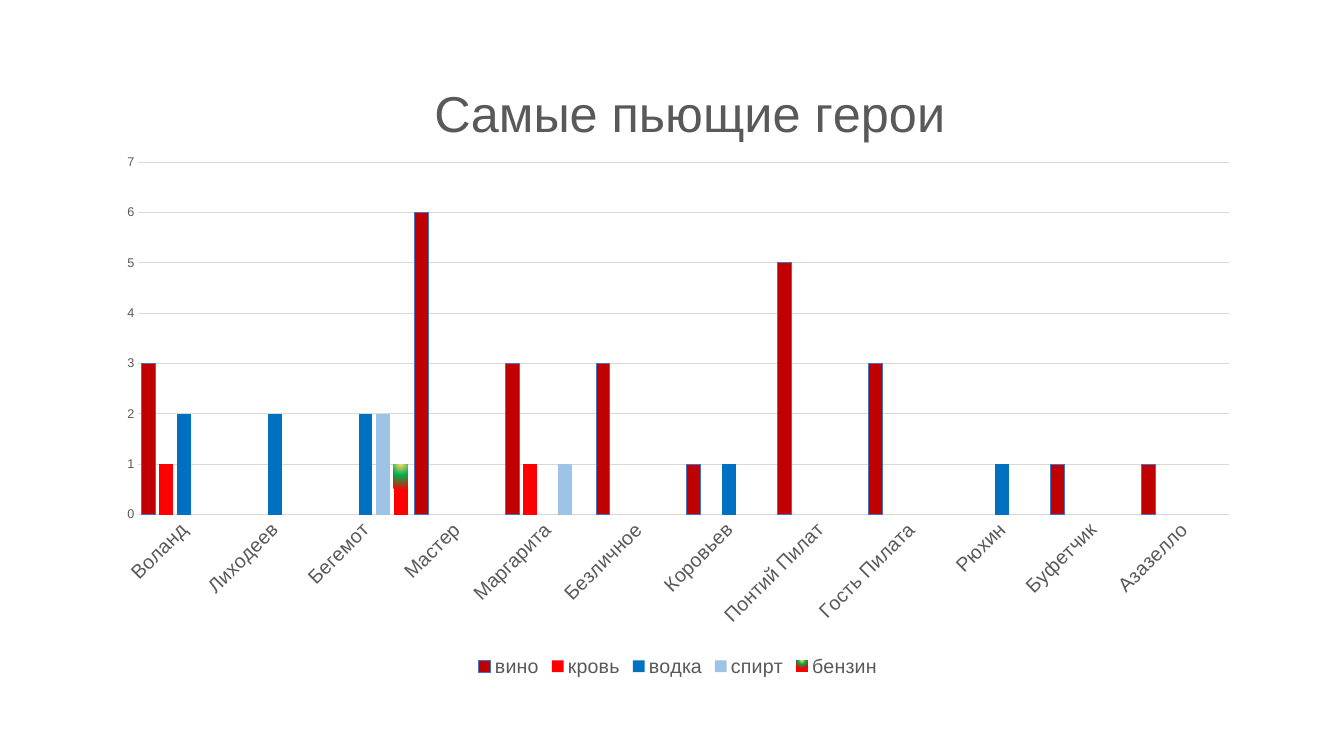
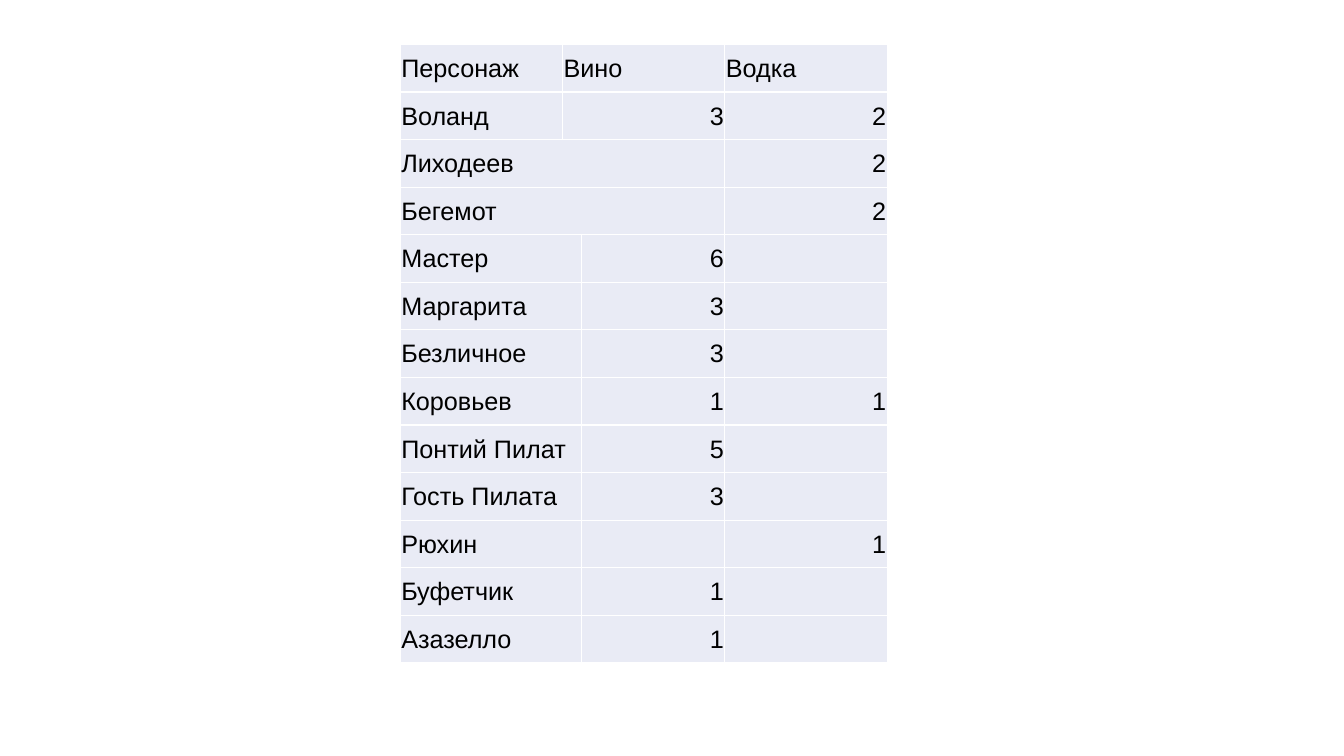
from lxml import etree
from pptx import Presentation
from pptx.chart.data import CategoryChartData
from pptx.dml.color import RGBColor
from pptx.enum.chart import XL_CHART_TYPE, XL_LEGEND_POSITION, XL_TICK_MARK
from pptx.enum.text import MSO_ANCHOR, PP_ALIGN
from pptx.oxml import parse_xml
from pptx.oxml.ns import nsdecls, qn
from pptx.util import Inches, Pt

FONT = "Arial"
COLORS = {
    "text": "000000",
    "muted": "595959",
    "grid": "D9D9D9",
    "cell": "E9EBF5",
    "border": "FFFFFF",
    "wine": "C00000",
    "wine_outline": "4472C4",
    "blood": "FF0000",
    "vodka": "0070C0",
    "spirit": "9DC3E6",
    "yellow": "FFD966",
    "green": "00B050",
}
CHARACTERS = [
    "Воланд", "Лиходеев", "Бегемот", "Мастер", "Маргарита", "Безличное",
    "Коровьев", "Понтий Пилат", "Гость Пилата", "Рюхин", "Буфетчик", "Азазелло",
]
WINE = [3, None, None, 6, 3, 3, 1, 5, 3, None, 1, 1]
VODKA = [2, 2, 2, None, None, None, 1, None, None, 1, None, None]


def sparse(values):
    return [values.get(name) for name in CHARACTERS]


DRINKS = [
    ("вино", WINE, "wine"),
    ("кровь", sparse({"Воланд": 1, "Маргарита": 1}), "blood"),
    ("водка", VODKA, "vodka"),
    ("спирт", sparse({"Бегемот": 2, "Маргарита": 1}), "spirit"),
    ("бензин", sparse({"Бегемот": 1}), None),
]
PETROL_STOPS = [(0, "yellow"), (42, "green"), (100, "blood")]


def color(name):
    return RGBColor.from_string(COLORS[name])


def style_font(font, size, color_name):
    font.name = FONT
    font.size = Pt(size)
    font.bold = False
    font.color.rgb = color(color_name)


def write_text(text_frame, text, size=18, color_name="text", align=PP_ALIGN.LEFT):
    paragraph = text_frame.paragraphs[0]
    paragraph.alignment = align
    run = paragraph.add_run()
    run.text = text
    style_font(run.font, size, color_name)


def style_line(line, color_name, width):
    line.color.rgb = color(color_name)
    line.width = Pt(width)


def place_chart_part(element, position, **places):
    for old_layout in element.findall(qn("c:layout")):
        element.remove(old_layout)
    target = '<c:layoutTarget val="inner"/>' if "w" in places else ""
    modes = "".join(f'<c:{axis}Mode val="edge"/>' for axis in "xy")
    values = "".join(f'<c:{key} val="{value}"/>' for key, value in places.items())
    element.insert(position, parse_xml(
        f'<c:layout {nsdecls("c")}><c:manualLayout>{target}{modes}{values}'
        "</c:manualLayout></c:layout>"
    ))


def fill_radial(series, stops):
    properties = series.format.fill
    properties.background()
    shape_properties = series._element.find(qn("c:spPr"))
    stop_xml = "".join(
        f'<a:gs pos="{percent * 1000}"><a:srgbClr val="{COLORS[name]}"/></a:gs>'
        for percent, name in stops
    )
    gradient = parse_xml(
        f'<a:gradFill {nsdecls("a")}><a:gsLst>{stop_xml}</a:gsLst>'
        '<a:path path="circle"><a:fillToRect l="50000" t="-80000" r="50000" b="180000"/>'
        "</a:path></a:gradFill>"
    )
    shape_properties.replace(shape_properties.find(qn("a:noFill")), gradient)


def style_axes(chart):
    category_axis, value_axis = chart.category_axis, chart.value_axis
    for axis, size in ((category_axis, 14), (value_axis, 9)):
        axis.major_tick_mark = axis.minor_tick_mark = XL_TICK_MARK.NONE
        style_font(axis.tick_labels.font, size, "muted")
    style_line(category_axis.format.line, "grid", 0.75)
    label_body = category_axis._element.find(qn("c:txPr")).find(qn("a:bodyPr"))
    label_body.set("rot", "-2700000")
    value_axis.format.line.fill.background()
    style_line(value_axis.major_gridlines.format.line, "grid", 0.75)
    value_axis.minimum_scale, value_axis.maximum_scale = 0, 7
    value_axis.major_unit = 1


def style_series(plot):
    plot.gap_width, plot.overlap = 46, -27
    plot.vary_by_categories = False
    for series, (_, _, color_name) in zip(plot.series, DRINKS):
        series.invert_if_negative = False
        if color_name:
            series.format.fill.solid()
            series.format.fill.fore_color.rgb = color(color_name)
        else:
            fill_radial(series, PETROL_STOPS)
    style_line(plot.series[0].format.line, "wine_outline", 0)


def add_drinks_chart(slide):
    data = CategoryChartData()
    data.categories = CHARACTERS
    for name, values, _ in DRINKS:
        data.add_series(name, values)
    chart = slide.shapes.add_chart(
        XL_CHART_TYPE.COLUMN_CLUSTERED,
        Inches(1.03), Inches(0.4), Inches(11.39), Inches(6.36), data,
    ).chart
    style_font(chart.font, 10, "text")
    chart.has_title = True
    write_text(chart.chart_title.text_frame, "Самые пьющие герои",
               size=36, color_name="muted", align=PP_ALIGN.CENTER)
    place_chart_part(chart.chart_title._element, 1, x=0.28, y=0.05)
    plot_area = chart._chartSpace.find(".//" + qn("c:plotArea"))
    place_chart_part(plot_area, 0, x=0.03, y=0.19, w=0.95, h=0.55)
    chart.has_legend = True
    chart.legend.position = XL_LEGEND_POSITION.BOTTOM
    chart.legend.include_in_layout = False
    style_font(chart.legend.font, 14, "muted")
    style_axes(chart)
    style_series(chart.plots[0])


def style_cell(cell):
    cell.vertical_anchor = MSO_ANCHOR.MIDDLE
    cell.margin_left = cell.margin_top = cell.margin_right = Inches(0.01)
    cell.margin_bottom = 0
    properties = cell._tc.get_or_add_tcPr()
    for side in ("lnL", "lnR", "lnT", "lnB"):
        border = etree.SubElement(properties, qn(f"a:{side}"), w=str(Pt(1)))
        fill = etree.SubElement(border, qn("a:solidFill"))
        etree.SubElement(fill, qn("a:srgbClr"), val=COLORS["border"])
    cell.fill.solid()
    cell.fill.fore_color.rgb = color("cell")


def add_drinks_table(slide):
    rows = [("Персонаж", "Вино", "Водка"), *zip(CHARACTERS, WINE, VODKA)]
    widths = [1.61, 0.19, 1.42, 1.61]
    row_height = Inches(6.14 / len(rows))
    table = slide.shapes.add_table(
        len(rows), len(widths), Inches(3.97), Inches(0.44),
        Inches(sum(widths)), row_height * len(rows),
    ).table
    table.first_row = table.horz_banding = False
    for column, width in zip(table.columns, widths):
        column.width = Inches(width)
    for cell in table.iter_cells():
        style_cell(cell)
    merges = [(1, 2)] * 2 + [(0, 2)] * 2 + [(0, 1)] * (len(rows) - 4)
    for index, (values, (first, last)) in enumerate(zip(rows, merges)):
        table.rows[index].height = row_height
        table.cell(index, first).merge(table.cell(index, last))
        wine_column = 1 if first == 1 else 2
        for column, value in zip((0, wine_column, 3), values):
            if value is not None:
                align = PP_ALIGN.RIGHT if isinstance(value, int) else PP_ALIGN.LEFT
                write_text(table.cell(index, column).text_frame, str(value), align=align)


def main():
    presentation = Presentation()
    presentation.slide_width = Inches(13.33)
    presentation.slide_height = Inches(7.5)
    for add_content in (add_drinks_chart, add_drinks_table):
        add_content(presentation.slides.add_slide(presentation.slide_layouts[6]))
    presentation.save("out.pptx")


if __name__ == "__main__":
    main()
